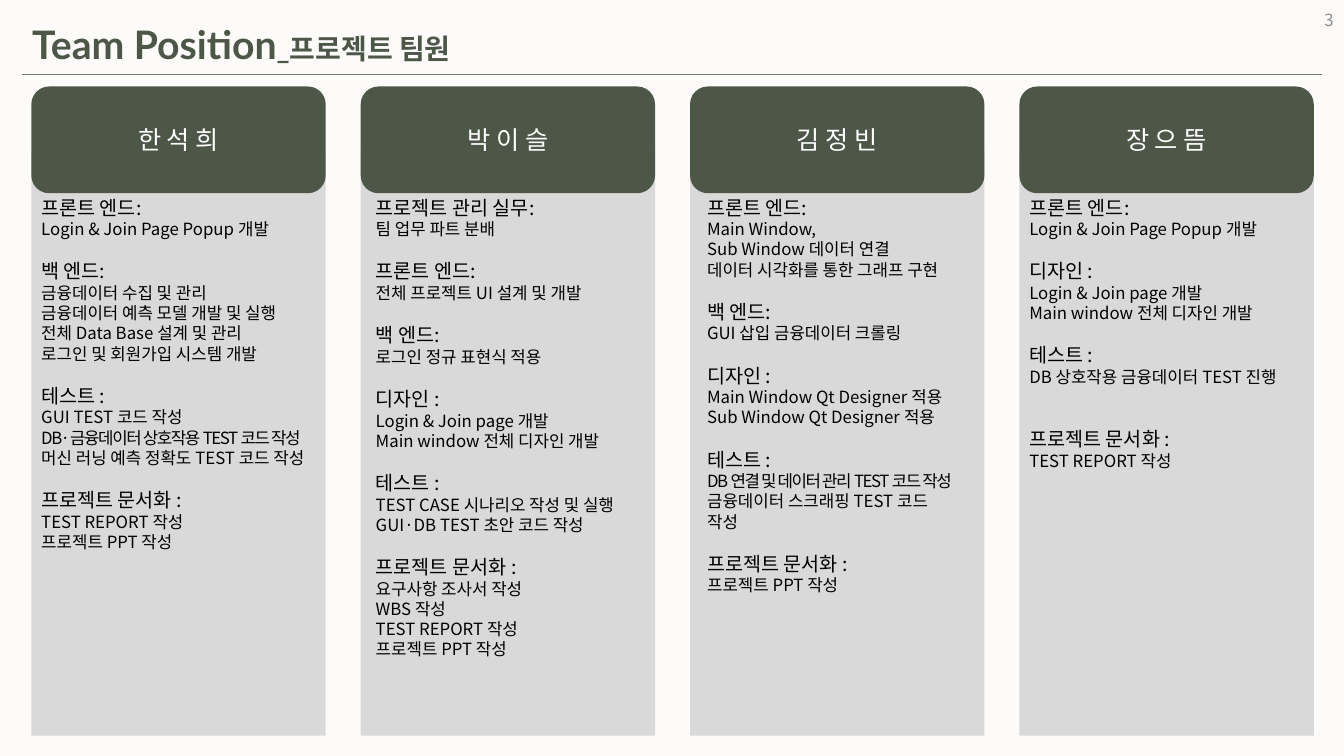
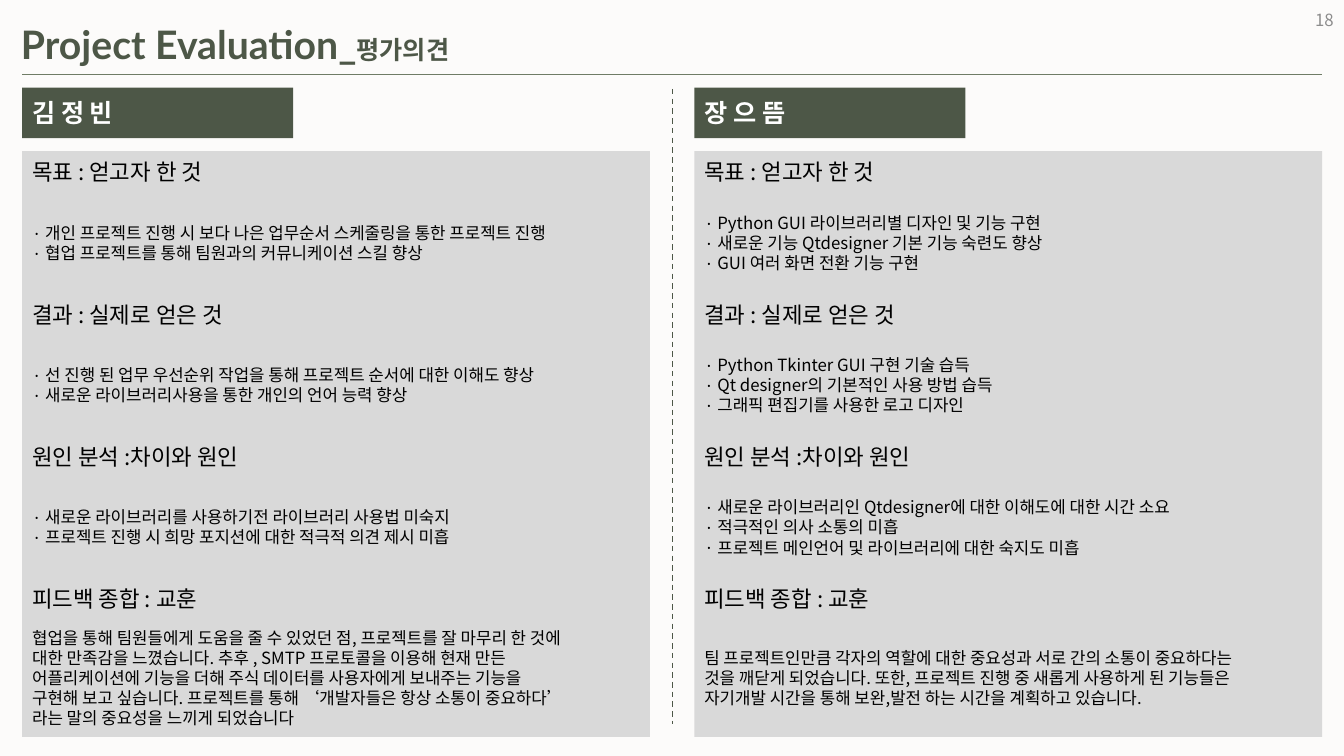
from pptx import Presentation
from pptx import util as u
from pptx.dml.color import RGBColor
from pptx.enum import dml, shapes, text
from pptx.oxml import ns
from lxml import etree

BACKGROUND = RGBColor(0xFC, 0xFB, 0xFA)
GREEN = RGBColor(0x4D, 0x57, 0x47)
RULE_GREEN = RGBColor(0x6F, 0x7C, 0x66)
PANEL_GRAY = RGBColor(0xD9, 0xD9, 0xD9)
NUMBER_GRAY = RGBColor(0x8C, 0x8C, 0x8C)
WHITE = RGBColor(0xFF, 0xFF, 0xFF)
BLACK = RGBColor(0, 0, 0)
TITLE_FONT = "Lato"
BODY_FONT = "Noto Sans CJK KR"
LINE_RATIO = 1.2
BLANK_LINE = 14.4
BULLET_INDENT = 0.33
TIGHT_STARTS = ("DB·", "DB 연결")

MEMBERS = [
    ("한 석 희", 0, 7.49, [
        ("프론트 엔드:", ["Login & Join Page Popup 개발"]),
        ("백 엔드:", ["금융데이터 수집 및 관리", "금융데이터 예측 모델 개발 및 실행",
                   "전체 Data Base 설계 및 관리", "로그인 및 회원가입 시스템 개발"]),
        ("테스트 :", ["GUI TEST 코드 작성", "DB·금융데이터 상호작용 TEST 코드 작성",
                   "머신 러닝 예측 정확도 TEST 코드 작성"]),
        ("프로젝트 문서화 :", ["TEST REPORT 작성", "프로젝트 PPT 작성"]),
    ]),
    ("박 이 슬", 0.13, 7.09, [
        ("프로젝트 관리 실무:", ["팀 업무 파트 분배"]),
        ("프론트 엔드:", ["전체 프로젝트 UI 설계 및 개발"]),
        ("백 엔드:", ["로그인 정규 표현식 적용"]),
        ("디자인 :", ["Login & Join page 개발", "Main window 전체 디자인 개발"]),
        ("테스트 :", ["TEST CASE 시나리오 작성 및 실행", "GUI·DB TEST 초안 코드 작성"]),
        ("프로젝트 문서화 :", ["요구사항 조사서 작성", "WBS 작성", "TEST REPORT 작성",
                        "프로젝트 PPT 작성"]),
    ]),
    ("김 정 빈", 0.18, 6.9, [
        ("프론트 엔드:", ["Main Window,", "Sub Window 데이터 연결",
                     "데이터 시각화를 통한 그래프 구현"]),
        ("백 엔드:", ["GUI 삽입 금융데이터 크롤링"]),
        ("디자인 :", ["Main Window Qt Designer 적용", "Sub Window Qt Designer 적용"]),
        ("테스트 :", ["DB 연결 및 데이터 관리 TEST 코드 작성",
                   "금융데이터 스크래핑 TEST 코드 작성"]),
        ("프로젝트 문서화 :", ["프로젝트 PPT 작성"]),
    ]),
    ("장 으 뜸", 0, 6.9, [
        ("프론트 엔드:", ["Login & Join Page Popup 개발"]),
        ("디자인 :", ["Login & Join page 개발", "Main window 전체 디자인 개발"]),
        ("테스트 :", ["DB 상호작용 금융데이터 TEST 진행"]),
        ("프로젝트 문서화 :", ["TEST REPORT 작성"], 2 * BLANK_LINE),
    ]),
]

SECTION_HEADINGS = ["목표 : 얻고자 한 것", "결과 : 실제로 얻은 것",
                    "원인 분석 :차이와 원인", "피드백 종합 : 교훈"]
EVALUATIONS = [
    ("김 정 빈", [
        ["개인 프로젝트 진행 시 보다 나은 업무순서 스케줄링을 통한 프로젝트 진행",
         "협업 프로젝트를 통해 팀원과의 커뮤니케이션 스킬 향상"],
        ["선 진행 된 업무 우선순위 작업을 통해 프로젝트 순서에 대한 이해도 향상",
         "새로운 라이브러리사용을 통한 개인의 언어 능력 향상"],
        ["새로운 라이브러리를 사용하기전 라이브러리 사용법 미숙지",
         "프로젝트 진행 시 희망 포지션에 대한 적극적 의견 제시 미흡"],
        ["협업을 통해 팀원들에게 도움을 줄 수 있었던 점, 프로젝트를 잘 마무리 한 것에\v"
         "대한 만족감을 느꼈습니다. 추후 , SMTP 프로토콜을 이용해 현재 만든\v"
         "어플리케이션에 기능을 더해 주식 데이터를 사용자에게 보내주는 기능을\v"
         "구현해 보고 싶습니다. 프로젝트를 통해 ‘개발자들은 항상 소통이 중요하다’\v"
         "라는 말의 중요성을 느끼게 되었습니다"],
    ]),
    ("장 으 뜸", [
        ["Python GUI 라이브러리별 디자인 및 기능 구현",
         "새로운 기능 Qtdesigner 기본 기능 숙련도 향상",
         "GUI 여러 화면 전환 기능 구현"],
        ["Python Tkinter GUI 구현 기술 습득",
         "Qt designer의 기본적인 사용 방법 습득",
         "그래픽 편집기를 사용한 로고 디자인"],
        ["새로운 라이브러리인 Qtdesigner에 대한 이해도에 대한 시간 소요",
         "적극적인 의사 소통의 미흡",
         "프로젝트 메인언어 및 라이브러리에 대한 숙지도 미흡"],
        ["팀 프로젝트인만큼 각자의 역할에 대한 중요성과 서로 간의 소통이 중요하다는\v"
         "것을 깨닫게 되었습니다. 또한, 프로젝트 진행 중 새롭게 사용하게 된 기능들은\v"
         "자기개발 시간을 통해 보완,발전 하는 시간을 계획하고 있습니다."],
    ]),
]


def style_paragraph(paragraph, size, color, bold=False, name=BODY_FONT, spacing=0):
    font = paragraph.font
    font.size, font.bold, font.name = u.Pt(size), bold, name
    font.color.rgb = color
    properties = paragraph._p.pPr.find(ns.qn("a:defRPr"))
    etree.SubElement(properties, ns.qn("a:ea"), typeface=BODY_FONT)
    if spacing:
        properties.set("spc", str(spacing))


def add_bullet(paragraph):
    properties = paragraph._p.get_or_add_pPr()
    properties.set("marL", str(u.Cm(BULLET_INDENT)))
    properties.set("indent", str(-u.Cm(BULLET_INDENT)))
    etree.SubElement(properties, ns.qn("a:buFont"), typeface=BODY_FONT)
    etree.SubElement(properties, ns.qn("a:buChar"), char="·")


def write_line(frame, content, size, color=BLACK, bold=False, align=text.PP_ALIGN.LEFT,
               before=0, bullet=False, spacing=0):
    first = frame.paragraphs[0]
    paragraph = frame.add_paragraph() if first.runs else first
    paragraph.text = content
    if bullet:
        add_bullet(paragraph)
    paragraph.alignment = align
    paragraph.line_spacing = u.Pt(size * LINE_RATIO)
    if before:
        paragraph.space_before = u.Pt(before)
    style_paragraph(paragraph, size, color, bold, spacing=spacing)


def add_text_frame(slide, left, top, width, height, anchor=text.MSO_ANCHOR.MIDDLE):
    box = slide.shapes.add_textbox(u.Cm(left), u.Cm(top), u.Cm(width), u.Cm(height))
    frame = box.text_frame
    frame.word_wrap = True
    frame.vertical_anchor = anchor
    return frame


def add_block(slide, kind, left, top, width, height, color):
    shape = slide.shapes.add_shape(kind, u.Cm(left), u.Cm(top), u.Cm(width), u.Cm(height))
    shape.shadow.inherit = False
    shape.fill.solid()
    shape.fill.fore_color.rgb = color
    shape.line.fill.background()
    shape.text_frame.vertical_anchor = text.MSO_ANCHOR.MIDDLE
    return shape


def add_line(slide, left, top, right, bottom, color, dash=None):
    line = slide.shapes.add_connector(shapes.MSO_CONNECTOR.STRAIGHT, u.Cm(left), u.Cm(top),
                                      u.Cm(right), u.Cm(bottom))
    line.line.color.rgb = color
    line.line.width = u.Pt(1)
    if dash:
        line.line.dash_style = dash
    etree.SubElement(line._element.spPr, ns.qn("a:effectLst"))


def start_slide(presentation, title_left, title, subtitle, subtitle_size, number):
    slide = presentation.slides.add_slide(presentation.slide_layouts[6])
    slide.background.fill.solid()
    slide.background.fill.fore_color.rgb = BACKGROUND
    frame = add_text_frame(slide, title_left, 0.38, 20, 1.45, text.MSO_ANCHOR.TOP)
    paragraph = frame.paragraphs[0]
    for content, size in ((title, 28), (subtitle, subtitle_size)):
        run = paragraph.add_run()
        run.text = content
        run.font.size = u.Pt(size)
    style_paragraph(paragraph, 28, GREEN, True, TITLE_FONT)
    add_line(slide, 0.56, 1.88, 33.32, 1.88, RULE_GREEN)
    number_frame = add_text_frame(slide, 26.24, 0, 7.62, 1.02)
    write_line(number_frame, number, 12, NUMBER_GRAY, align=text.PP_ALIGN.RIGHT)
    return slide


def add_member_card(slide, left, top, width, member):
    name, text_offset, text_width, duties = member
    add_block(slide, shapes.MSO_SHAPE.RECTANGLE, left, top + 1.6, width, 14.76, PANEL_GRAY)
    header = add_block(slide, shapes.MSO_SHAPE.ROUNDED_RECTANGLE, left, top, width, 2.69, GREEN)
    write_line(header.text_frame, name, 18, WHITE, align=text.PP_ALIGN.CENTER)
    frame = add_text_frame(slide, left + text_offset, top + 2.62, text_width, 12,
                           text.MSO_ANCHOR.TOP)
    for index, (heading, lines, *gap) in enumerate(duties):
        before = (gap[0] if gap else BLANK_LINE) if index else 0
        write_line(frame, heading, 14, before=before)
        for line in lines:
            write_line(frame, line, 12, spacing=-100 if line.startswith(TIGHT_STARTS) else 0)


def add_evaluation(slide, left, top, width, evaluation):
    name, sections = evaluation
    tag = add_block(slide, shapes.MSO_SHAPE.RECTANGLE, left, top, 6.83, 1.27, GREEN)
    write_line(tag.text_frame, name, 18, WHITE, True)
    add_block(slide, shapes.MSO_SHAPE.RECTANGLE, left, top + 1.6, width, 14.76, PANEL_GRAY)
    for index, (heading, lines) in enumerate(zip(SECTION_HEADINGS, sections)):
        section_top = top + 1.58 + index * 3.58
        is_summary = index == len(sections) - 1
        write_line(add_text_frame(slide, left, section_top, width, 1.09), heading, 16)
        body = add_text_frame(slide, left, section_top + 1.09, width,
                              2.92 if is_summary else 2.49)
        for line in lines:
            write_line(body, line, 12, bullet=not is_summary)


def build_team_slide(presentation):
    slide = start_slide(presentation, 0.56, "Team Position", "_프로젝트 팀원", 20, "3")
    for index, member in enumerate(MEMBERS):
        add_member_card(slide, 0.79 + index * 8.3, 2.18, 7.42, member)


def build_evaluation_slide(presentation):
    slide = start_slide(presentation, 0.28, "Project Evaluation_", "평가의견", 18, "18")
    for index, evaluation in enumerate(EVALUATIONS):
        add_evaluation(slide, 0.56 + index * 16.94, 2.21, 15.82, evaluation)
    add_line(slide, 16.94, 2.24, 16.94, 18.24, GREEN, dml.MSO_LINE.DASH)


def main():
    presentation = Presentation()
    presentation.slide_width, presentation.slide_height = u.Cm(33.87), u.Cm(19.05)
    build_team_slide(presentation)
    build_evaluation_slide(presentation)
    presentation.save("out.pptx")


if __name__ == "__main__":
    main()
